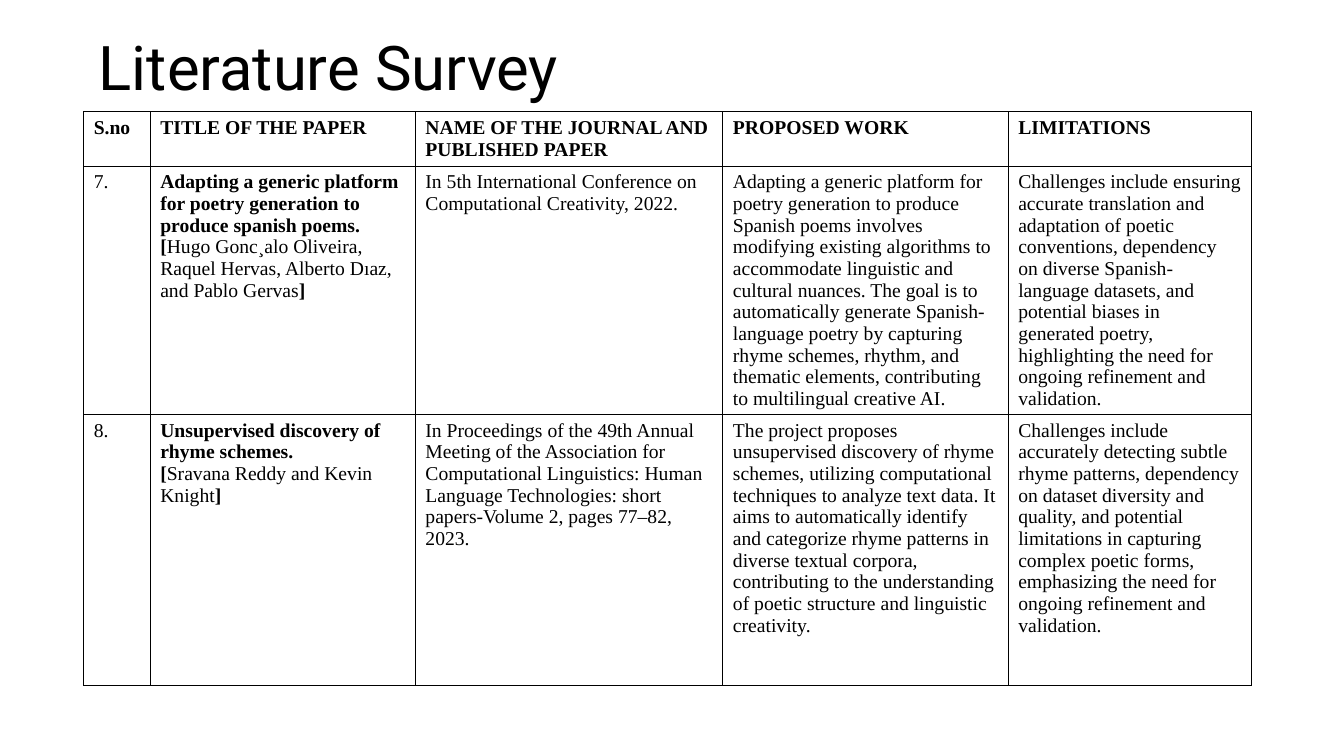
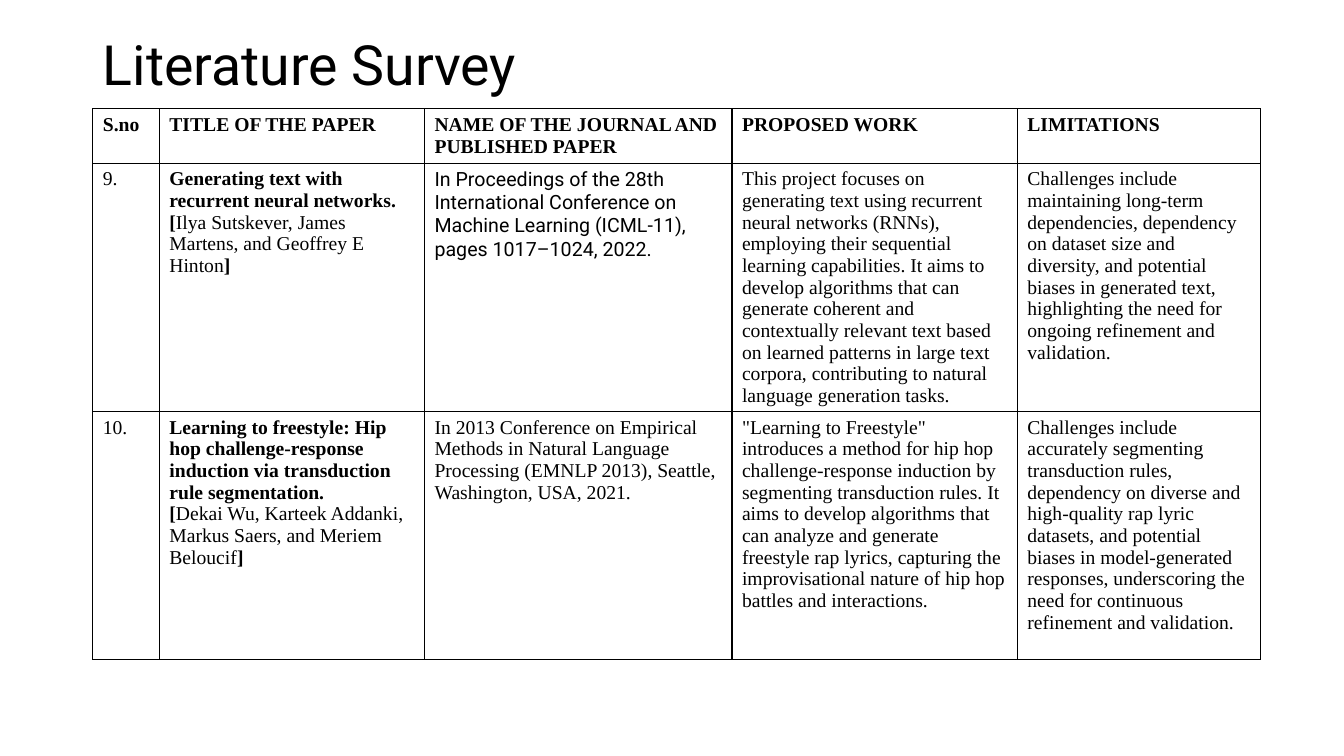
from dataclasses import dataclass

from lxml import etree
from pptx import Presentation
from pptx.dml.color import RGBColor
from pptx.enum.text import MSO_ANCHOR, MSO_AUTO_SIZE, PP_ALIGN
from pptx.oxml.ns import qn
from pptx.util import Inches, Pt

LEFT = PP_ALIGN.LEFT
MIDDLE = MSO_ANCHOR.MIDDLE
NO_AUTOFIT = MSO_AUTO_SIZE.NONE
TITLE_ONLY = 5


@dataclass(frozen=True)
class Theme:
    ink: str = "000000"
    title_font: str = "Roboto"
    body_font: str = "Times New Roman"
    body_size: float = 14
    border_width: float = 1


THEME = Theme()
HEADINGS = ("S.no", "TITLE OF THE PAPER", "NAME OF THE JOURNAL AND PUBLISHED PAPER",
            "PROPOSED WORK", "LIMITATIONS")
COLUMN_WIDTHS = (0.66, 2.63, 3.05, 2.83, 2.41)
HEADING_HEIGHT = 0.54


@dataclass(frozen=True)
class Paper:
    number: str
    title: str
    authors: str
    journal: str
    proposed_work: str
    limitations: str
    journal_font: str = THEME.body_font


class SurveyDeck:
    """Holds the style and the slide being filled."""

    def __init__(self, theme):
        self.theme = theme
        self.presentation = Presentation()
        self.presentation.slide_width = Inches(13.33)
        self.presentation.slide_height = Inches(7.5)
        self.slide = None

    def add_slide(self):
        layout = self.presentation.slide_layouts[TITLE_ONLY]
        self.slide = self.presentation.slides.add_slide(layout)

    def add_run(self, paragraph, text, bold=False, font=None, size=None):
        run = paragraph.add_run()
        run.text = text
        style = {"name": font or self.theme.body_font,
                 "size": Pt(size or self.theme.body_size),
                 "bold": bold}
        for attribute, value in style.items():
            setattr(run.font, attribute, value)
        run.font.color.rgb = RGBColor.from_string(self.theme.ink)

    def add_title(self, text, left, top, height, size):
        title = self.slide.shapes.title
        box = {"left": left, "top": top, "width": 11.5, "height": height}
        for attribute, value in box.items():
            setattr(title, attribute, Inches(value))
        frame = title.text_frame
        frame.auto_size = NO_AUTOFIT
        frame.vertical_anchor = MIDDLE
        paragraph = frame.paragraphs[0]
        paragraph.alignment = LEFT
        paragraph.line_spacing = 0.9
        self.add_run(paragraph, text, font=self.theme.title_font, size=size)

    def add_borders(self, cell):
        properties = cell._tc.get_or_add_tcPr()
        for position, side in enumerate(("a:lnL", "a:lnR", "a:lnT", "a:lnB")):
            line = etree.Element(qn(side), w=str(Pt(self.theme.border_width)))
            fill = etree.SubElement(line, qn("a:solidFill"))
            etree.SubElement(fill, qn("a:srgbClr"), val=self.theme.ink)
            properties.insert(position, line)

    def fill_paper_row(self, cells, paper):
        number, title, journal, work, limits = (
            cell.text_frame.paragraphs[0] for cell in cells)
        self.add_run(number, paper.number)
        self.add_run(title, paper.title, bold=True)
        authors = cells[1].text_frame.add_paragraph()
        for text, bold in (("[", True), (paper.authors, False), ("]", True)):
            self.add_run(authors, text, bold=bold)
        self.add_run(journal, paper.journal, font=paper.journal_font)
        self.add_run(work, paper.proposed_work)
        self.add_run(limits, paper.limitations)

    def add_survey_table(self, papers, left, top, paper_heights):
        heights = (HEADING_HEIGHT, *paper_heights)
        survey = self.slide.shapes.add_table(
            len(heights), len(HEADINGS), Inches(left), Inches(top),
            Inches(sum(COLUMN_WIDTHS)), Inches(sum(heights))).table
        survey.first_row = survey.horz_banding = False
        for column, width in zip(survey.columns, COLUMN_WIDTHS):
            column.width = Inches(width)
        for row, height in zip(survey.rows, heights):
            row.height = Inches(height)
        for cell in survey.iter_cells():
            cell.fill.background()
            self.add_borders(cell)

        heading_row, *paper_rows = survey.rows
        for cell, heading in zip(heading_row.cells, HEADINGS):
            self.add_run(cell.text_frame.paragraphs[0], heading, bold=True)
        for row, paper in zip(paper_rows, papers):
            self.fill_paper_row(list(row.cells), paper)

    def save(self):
        self.presentation.save("out.pptx")


# Content
POETRY_PAPERS = (
    Paper(
        "7.",
        "Adapting a generic platform for poetry generation to produce spanish poems.",
        "Hugo Gonc¸alo Oliveira, Raquel Hervas, Alberto Dıaz, and Pablo Gervas",
        "In 5th International Conference on Computational Creativity, 2022.",
        "Adapting a generic platform for poetry generation to produce Spanish poems "
        "involves modifying existing algorithms to accommodate linguistic and cultural "
        "nuances. The goal is to automatically generate Spanish-language poetry by "
        "capturing rhyme schemes, rhythm, and thematic elements, contributing to "
        "multilingual creative AI.",
        "Challenges include ensuring accurate translation and adaptation of poetic "
        "conventions, dependency on diverse Spanish-language datasets, and potential "
        "biases in generated poetry, highlighting the need for ongoing refinement and "
        "validation."),
    Paper(
        "8.",
        "Unsupervised discovery of rhyme schemes.",
        "Sravana Reddy and Kevin Knight",
        "In Proceedings of the 49th Annual Meeting of the Association for Computational "
        "Linguistics: Human Language Technologies: short papers-Volume 2, pages 77–82, "
        "2023.",
        "The project proposes unsupervised discovery of rhyme schemes, utilizing "
        "computational techniques to analyze text data. It aims to automatically identify "
        "and categorize rhyme patterns in diverse textual corpora, contributing to the "
        "understanding of poetic structure and linguistic creativity.",
        "Challenges include accurately detecting subtle rhyme patterns, dependency on "
        "dataset diversity and quality, and potential limitations in capturing complex "
        "poetic forms, emphasizing the need for ongoing refinement and validation."),
)
GENERATION_PAPERS = (
    Paper(
        "9.",
        "Generating text with recurrent neural networks.",
        "Ilya Sutskever, James Martens, and Geoffrey E Hinton",
        "In Proceedings of the 28th International Conference on Machine Learning "
        "(ICML-11), pages 1017–1024, 2022.",
        "This project focuses on generating text using recurrent neural networks (RNNs), "
        "employing their sequential learning capabilities. It aims to develop algorithms "
        "that can generate coherent and contextually relevant text based on learned "
        "patterns in large text corpora, contributing to natural language generation "
        "tasks.",
        "Challenges include maintaining long-term dependencies, dependency on dataset "
        "size and diversity, and potential biases in generated text, highlighting the "
        "need for ongoing refinement and validation.",
        journal_font=THEME.title_font),
    Paper(
        "10.",
        "Learning to freestyle: Hip hop challenge-response induction via transduction "
        "rule segmentation.",
        "Dekai Wu, Karteek Addanki, Markus Saers, and Meriem Beloucif",
        "In 2013 Conference on Empirical Methods in Natural Language Processing "
        "(EMNLP 2013), Seattle, Washington, USA, 2021.",
        '"Learning to Freestyle" introduces a method for hip hop challenge-response '
        "induction by segmenting transduction rules. It aims to develop algorithms that "
        "can analyze and generate freestyle rap lyrics, capturing the improvisational "
        "nature of hip hop battles and interactions.",
        "Challenges include accurately segmenting transduction rules, dependency on "
        "diverse and high-quality rap lyric datasets, and potential biases in "
        "model-generated responses, underscoring the need for continuous refinement and "
        "validation."),
)


def main():
    deck = SurveyDeck(THEME)

    # Papers 7 and 8
    deck.add_slide()
    deck.add_title("Literature Survey", left=0.88, top=0.3, height=0.81, size=44)
    deck.add_survey_table(POETRY_PAPERS, left=0.83, top=1.11, paper_heights=(2.46, 2.69))

    # Papers 9 and 10
    deck.add_slide()
    deck.add_title("Literature Survey", left=0.92, top=0.4, height=0.55, size=39.6)
    deck.add_survey_table(GENERATION_PAPERS, left=0.92, top=1.08, paper_heights=(2.46, 2.46))

    deck.save()


if __name__ == "__main__":
    main()
